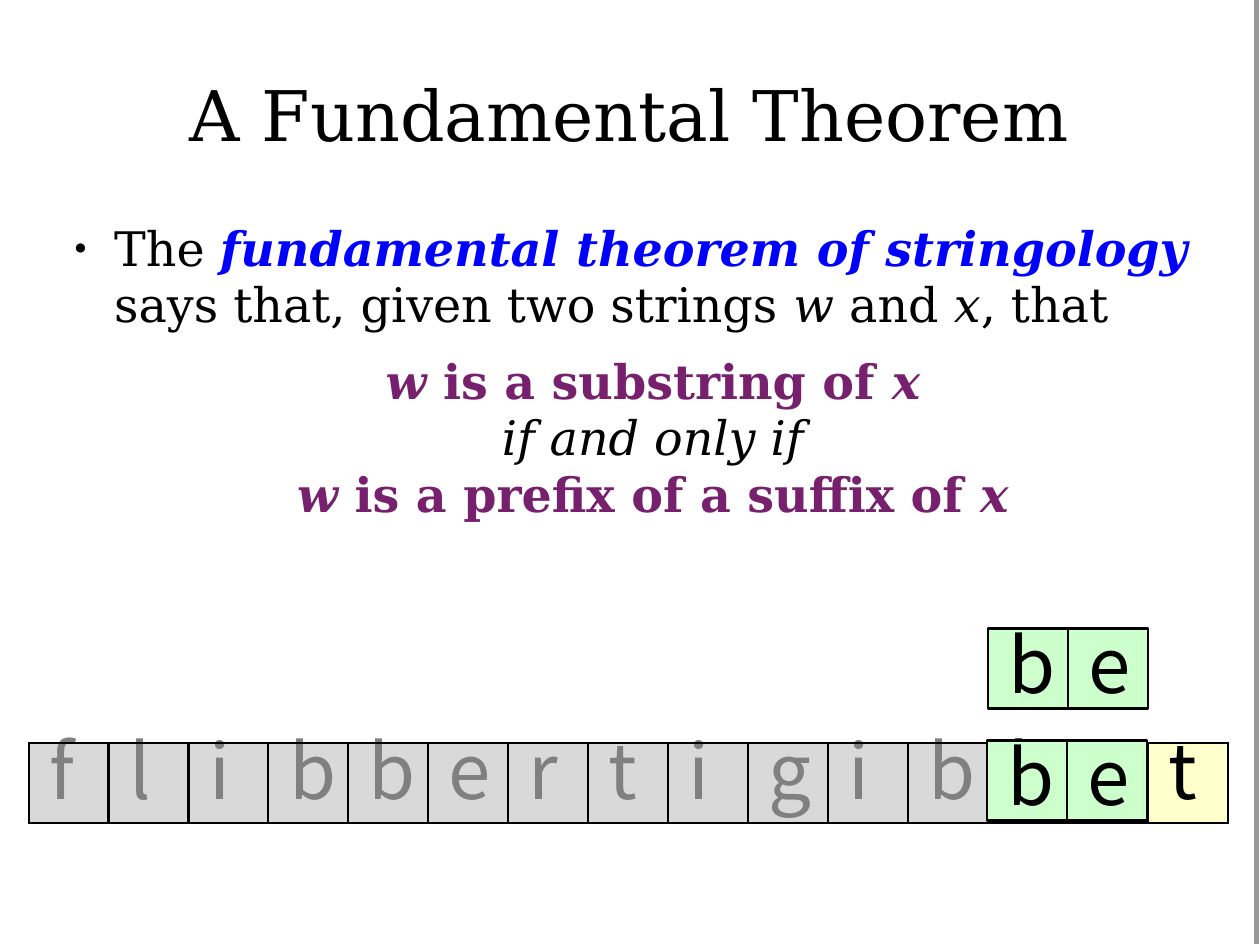
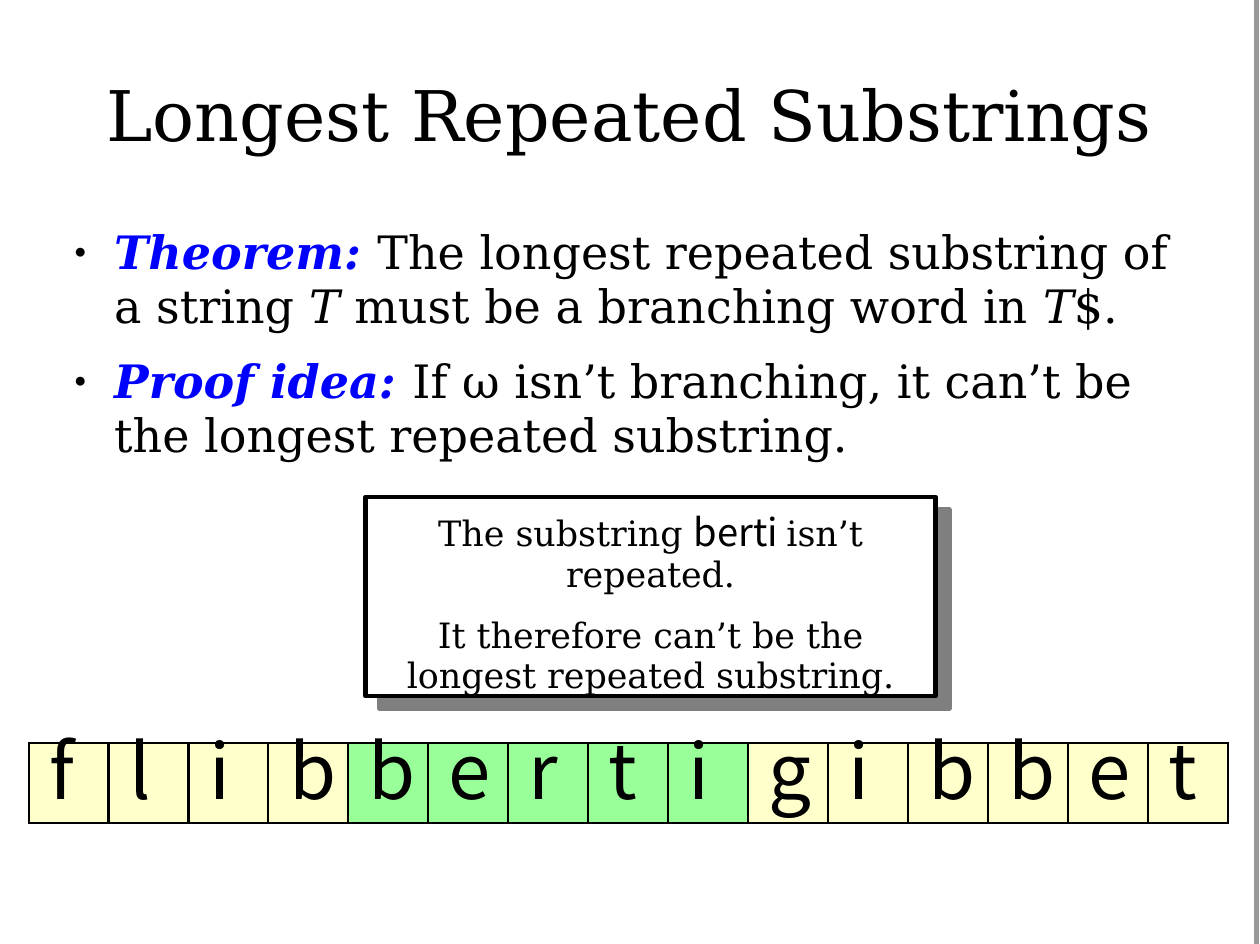
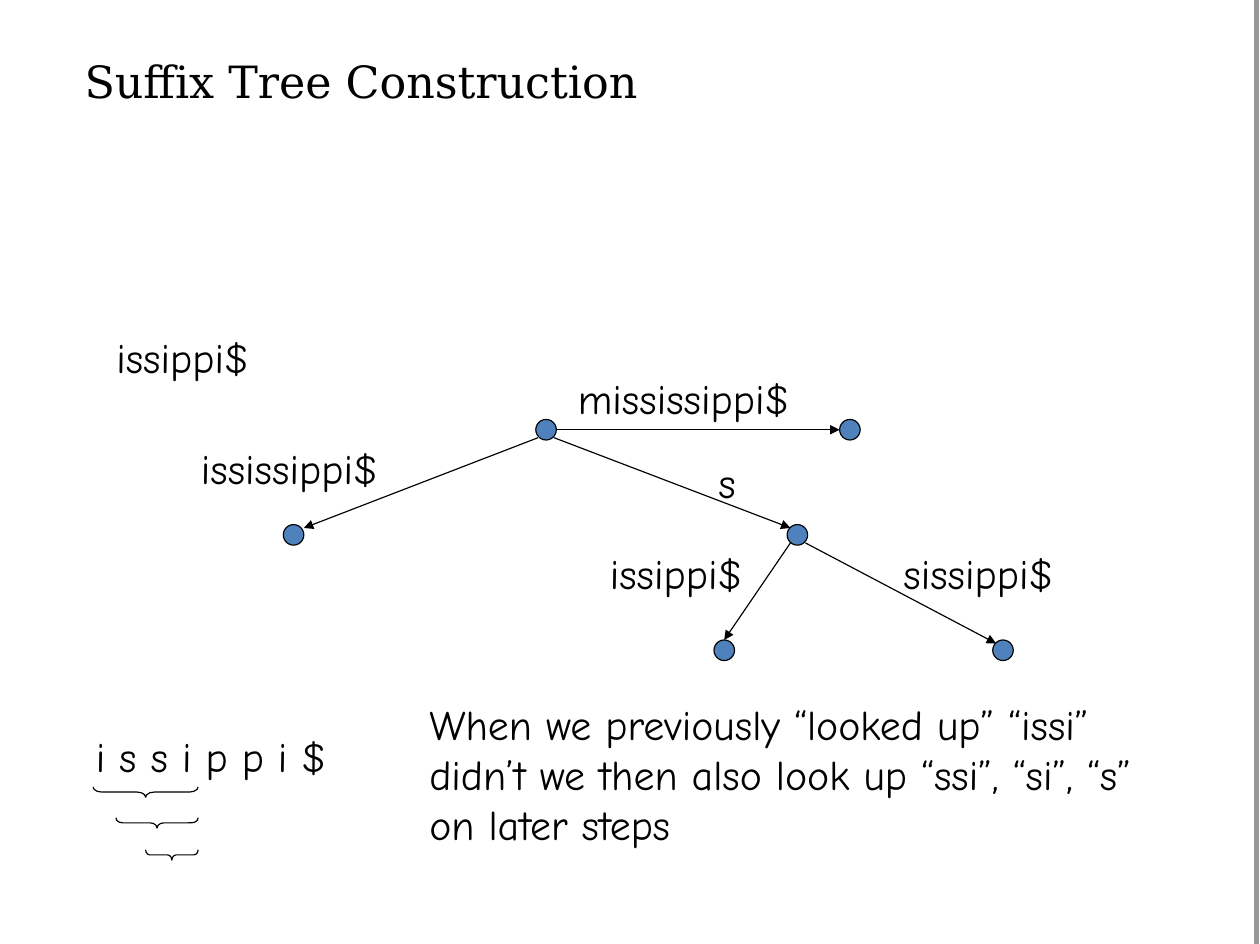
"""Build three slides on substrings and suffix trees."""
import lxml.etree
import pptx
import pptx.dml.color
import pptx.enum.shapes
import pptx.enum.text
import pptx.oxml
import pptx.oxml.ns
import pptx.util


class Theme:
    serif, sans, hand = "DejaVu Serif", "Noto Sans CJK SC", "Comic Neue"
    black, white, edge, shadow = "000000", "FFFFFF", "999999", "7F7F7F"
    muted, muted_text, cream = "D9D9D9", "808080", "FFFFCC"
    mint, green, node = "CCFFCC", "99FF99", "4F81BD"
    title, small_title, letter, label, note, code = 44, 28, 48, 26.4, 22, 24
    thin, border, heavy = 0.75, 1.5, 2.89
    styles = {
        "plain": (black, False, False),
        "italic": (black, False, True),
        "term": ("0000FF", True, True),
        "claim": ("76206E", True, False),
        "claim var": ("76206E", True, True),
        "muted": (muted_text, False, False),
    }


SCALE = 9144
RGB = pptx.dml.color.RGBColor.from_string
Pt = pptx.util.Pt
SHAPE = pptx.enum.shapes.MSO_SHAPE
ALIGN = pptx.enum.text.PP_ALIGN
TOP = pptx.enum.text.MSO_ANCHOR.TOP
NS = pptx.oxml.ns.nsdecls("a")


def px(*lengths):
    return [pptx.util.Emu(n * SCALE) for n in lengths]


def write(p, parts, size, font, spacing=None, align=ALIGN.LEFT):
    p.alignment = align
    if spacing:
        p.line_spacing = Pt(spacing)
    for text, style in parts:
        r = p.add_run()
        r.text = text
        color, r.font.bold, r.font.italic = Theme.styles[style]
        r.font.color.rgb = RGB(color)
        r.font.size = Pt(size)
        r.font.name = font


prs = pptx.Presentation()
prs.slide_width, prs.slide_height = px(1103, 826)
blank = prs.slide_layouts[6]

titles = [
    ("A Fundamental Theorem", (0, 63, 1102, 76), Theme.title, ALIGN.CENTER),
    ("Longest Repeated Substrings", (0, 63, 1102, 76), Theme.title, ALIGN.CENTER),
    ("Suffix Tree Construction", (74, 47, 971, 47), Theme.small_title, ALIGN.LEFT),
]
for text, place, size, align in titles:
    s = prs.slides.add_slide(blank)
    tf = s.shapes.add_textbox(*px(*place)).text_frame
    tf.word_wrap = True
    tf.margin_left = tf.margin_top = tf.margin_right = tf.margin_bottom = 0
    write(tf.paragraphs[0], [(text, "plain")], size, Theme.serif, align=align)
theorem, repeats, tree = prs.slides

edge = theorem.shapes.add_connector(
    pptx.enum.shapes.MSO_CONNECTOR.STRAIGHT, *px(1100, 0, 1100, 826))
edge.line.color.rgb = RGB(Theme.edge)
edge.line.width = Pt(Theme.heavy)
edge.element.spPr.append(pptx.oxml.parse_xml(f"<a:effectLst {NS}/>"))
blank.shapes.element.append(edge.element)

bodies = [
    (theorem, 264, 3, 30, 35.5, [
        (True, 0, [("The ", "plain"),
                   ("fundamental theorem of stringology", "term"),
                   (" says that, given two strings ", "plain"), ("w", "italic"),
                   (" and ", "plain"), ("x", "italic"), (", that", "plain")]),
        (False, 13, [("w", "claim var"), (" is a substring of ", "claim"),
                     ("x", "claim var")]),
        (False, 0, [("if and only if", "italic")]),
        (False, 0, [("w", "claim var"), (" is a prefix of a suffix of ", "claim"),
                    ("x", "claim var")]),
    ]),
    (repeats, 213, 8, 29, 34, [
        (True, 0, [("Theorem: ", "term"),
                   ("The longest repeated substring of a string ", "plain"),
                   ("T", "italic"), (" must be a branching word in ", "plain"),
                   ("T", "italic"), ("$.", "plain")]),
        (True, 13, [("Proof idea: ", "term"),
                    ("If ω isn’t branching, it can’t be the longest "
                     "repeated substring.", "plain")]),
    ]),
]
bullet = (
    f'<a:buClr {NS}><a:srgbClr val="{Theme.black}"/></a:buClr>',
    f'<a:buSzPct {NS} val="45000"/>',
    f'<a:buFont {NS} typeface="Arial"/>',
    f'<a:buChar {NS} char="●"/>',
)
hang, outdent = px(41, -35)
for s, height, inset, size, spacing, paragraphs in bodies:
    tf = s.shapes.add_textbox(*px(59, 189, 984, height)).text_frame
    tf.word_wrap = True
    tf.margin_left = tf.margin_right = tf.margin_bottom = 0
    tf.margin_top = px(inset)[0]
    for i, (bulleted, before, parts) in enumerate(paragraphs):
        p = tf.add_paragraph() if i else tf.paragraphs[0]
        pPr = p._p.get_or_add_pPr()
        pPr.set("marL", str(hang))
        if bulleted:
            pPr.set("indent", str(outdent))
            for xml in bullet:
                pPr.append(pptx.oxml.parse_xml(xml))
        if before:
            p.space_before = Pt(before)
        write(p, parts, size, Theme.serif, spacing,
              ALIGN.LEFT if bulleted else ALIGN.CENTER)

word = "flibbertigibbet"
cell_size, row_left, row_top = 70, 25, 650
strips = [
    (theorem, [Theme.muted] * 12 + [Theme.cream] * 3),
    (repeats, [Theme.cream] * 4 + [Theme.green] * 5 + [Theme.cream] * 6),
]
for s, fills in strips:
    table = s.shapes.add_table(
        1, len(word), *px(row_left, row_top, cell_size * len(word), cell_size)).table
    table.first_row = table.horz_banding = False
    for column, letter, fill in zip(table.columns, word, fills):
        column.width = px(cell_size)[0]
    for cell, letter, fill in zip(table.rows[0].cells, word, fills):
        tcPr = cell._tc.get_or_add_tcPr()
        for side in ("lnL", "lnR", "lnT", "lnB"):
            tcPr.append(pptx.oxml.parse_xml(
                f'<a:{side} {NS} w="{Pt(Theme.border)}"><a:solidFill>'
                f'<a:srgbClr val="{Theme.black}"/></a:solidFill></a:{side}>'))
        cell.fill.solid()
        cell.fill.fore_color.rgb = RGB(fill)
        cell.margin_top = cell.margin_right = cell.margin_bottom = 0
        cell.margin_left = px(18)[0]
        style = "muted" if fill == Theme.muted else "plain"
        write(cell.text_frame.paragraphs[0], [(letter, style)],
              Theme.letter, Theme.sans, 49.4)

for left, top in ((865, 550), (864, 648)):
    for i, letter in enumerate("be"):
        sp = theorem.shapes.add_shape(
            SHAPE.RECTANGLE, *px(left + i * cell_size, top, cell_size, cell_size))
        sp.shadow.inherit = False
        sp.fill.solid()
        sp.fill.fore_color.rgb = RGB(Theme.mint)
        sp.line.color.rgb = RGB(Theme.black)
        sp.line.width = Pt(Theme.border)
        tf = sp.text_frame
        tf.vertical_anchor = TOP
        tf.margin_top = tf.margin_right = tf.margin_bottom = 0
        tf.margin_left = px(18)[0]
        write(tf.paragraphs[0], [(letter, "plain")], Theme.letter, Theme.sans, 50.4)

for left, top, fill, line in ((332, 446, Theme.shadow, Theme.shadow),
                              (320, 435, Theme.white, Theme.black)):
    callout = repeats.shapes.add_shape(SHAPE.RECTANGLE, *px(left, top, 499, 174))
    callout.shadow.inherit = False
    callout.fill.solid()
    callout.fill.fore_color.rgb = RGB(fill)
    callout.line.color.rgb = RGB(line)
    callout.line.width = Pt(Theme.heavy)
tf = callout.text_frame
tf.word_wrap = True
tf.vertical_anchor = TOP
tf.margin_left, tf.margin_top, tf.margin_right, tf.margin_bottom = px(30, 14, 30, 0)
p = tf.paragraphs[0]
write(p, [("The substring ", "plain"), ("berti ", "plain"),
          ("isn’t repeated.", "plain")], Theme.note, Theme.serif, 25.5, ALIGN.CENTER)
p.runs[1].font.name = Theme.sans
p.runs[1].font.size = Pt(Theme.code)
p = tf.add_paragraph()
p.space_before = Pt(13)
write(p, [("It therefore can’t be the longest repeated substring.", "plain")],
      Theme.note, Theme.serif, 25.5, ALIGN.CENTER)

radius = 9
nodes = {"root": (478, 376), "mississippi": (744, 376), "ississippi": (257, 468),
         "s": (698, 468), "issippi": (634, 569), "sissippi": (878, 569)}
for x, y in nodes.values():
    sp = tree.shapes.add_shape(
        SHAPE.OVAL, *px(x - radius, y - radius, 2 * radius, 2 * radius))
    sp.shadow.inherit = False
    sp.fill.solid()
    sp.fill.fore_color.rgb = RGB(Theme.node)
    sp.line.color.rgb = RGB(Theme.black)
    sp.line.width = Pt(Theme.thin)

branches = [
    ("root", (9, 0), "mississippi", (-9, 0)),
    ("root", (-7, 7), "ississippi", (9, -6)),
    ("root", (7, 7), "s", (-6, -6)),
    ("s", (7, 7), "sissippi", (-6, -6)),
    ("s", (-6, 7), "issippi", (0, -9)),
]
for parent, (dx1, dy1), child, (dx2, dy2) in branches:
    (x1, y1), (x2, y2) = nodes[parent], nodes[child]
    branch = tree.shapes.add_connector(
        pptx.enum.shapes.MSO_CONNECTOR.STRAIGHT,
        *px(x1 + dx1, y1 + dy1, x2 + dx2, y2 + dy2))
    branch.line.color.rgb = RGB(Theme.black)
    branch.line.width = Pt(Theme.thin)
    lxml.etree.SubElement(branch.line._get_or_add_ln(),
                          pptx.oxml.ns.qn("a:tailEnd"), type="triangle")
    branch.element.spPr.append(pptx.oxml.parse_xml(f"<a:effectLst {NS}/>"))

labels = [
    ("mississippi$", 496, 321, 228, 55),
    ("ississippi$", 166, 382, 199, 55),
    ("s", 619, 395, 38, 55),
    ("issippi$", 524, 474, 153, 55),
    ("sissippi$", 781, 474, 171, 55),
    ("issippi$", 92, 285, 153, 55),
    ("i s s i p p i $", 74, 634, 230, 55),
    ("When we previously “looked up” “issi”\n"
     "didn’t we then also look up “ssi”, “si”, “s”\n"
     "on later steps", 366, 606, 706, 144),
]
for text, *place in labels:
    tf = tree.shapes.add_textbox(*px(*place)).text_frame
    tf.word_wrap = False
    tf.text = text
    for p in tf.paragraphs:
        r = p.runs[0]
        r.font.name = Theme.hand
        r.font.size = Pt(Theme.label)
        r.font.color.rgb = RGB(Theme.black)

brace_right, depth = 173, 9
for span, middle in ((92, 693), (72, 720), (46, 748)):
    sp = tree.shapes.add_shape(
        SHAPE.LEFT_BRACE,
        *px(brace_right - span // 2 - depth // 2, middle - span // 2, depth, span))
    sp.rotation = 270
    sp.adjustments[0] = span / 110
    sp.shadow.inherit = False
    sp.fill.background()
    sp.line.color.rgb = RGB(Theme.black)
    sp.line.width = Pt(Theme.thin)

prs.save("out.pptx")
